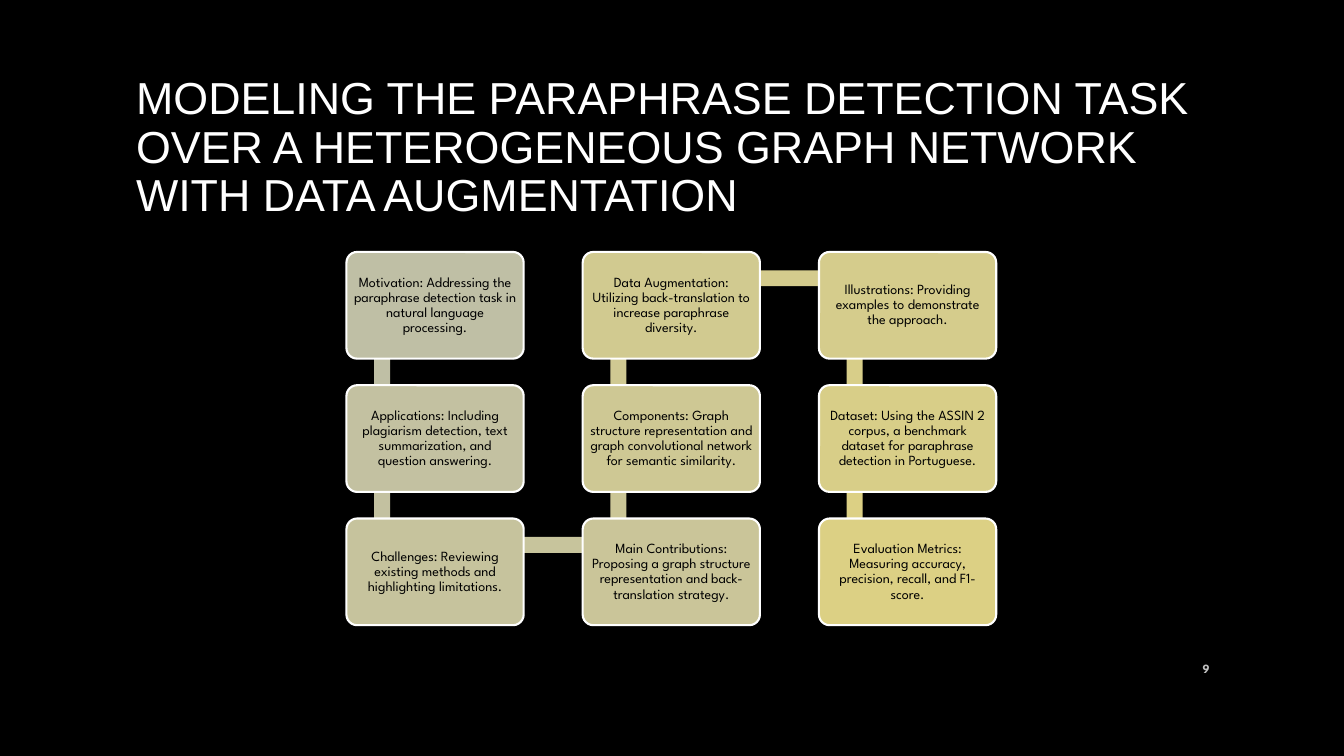
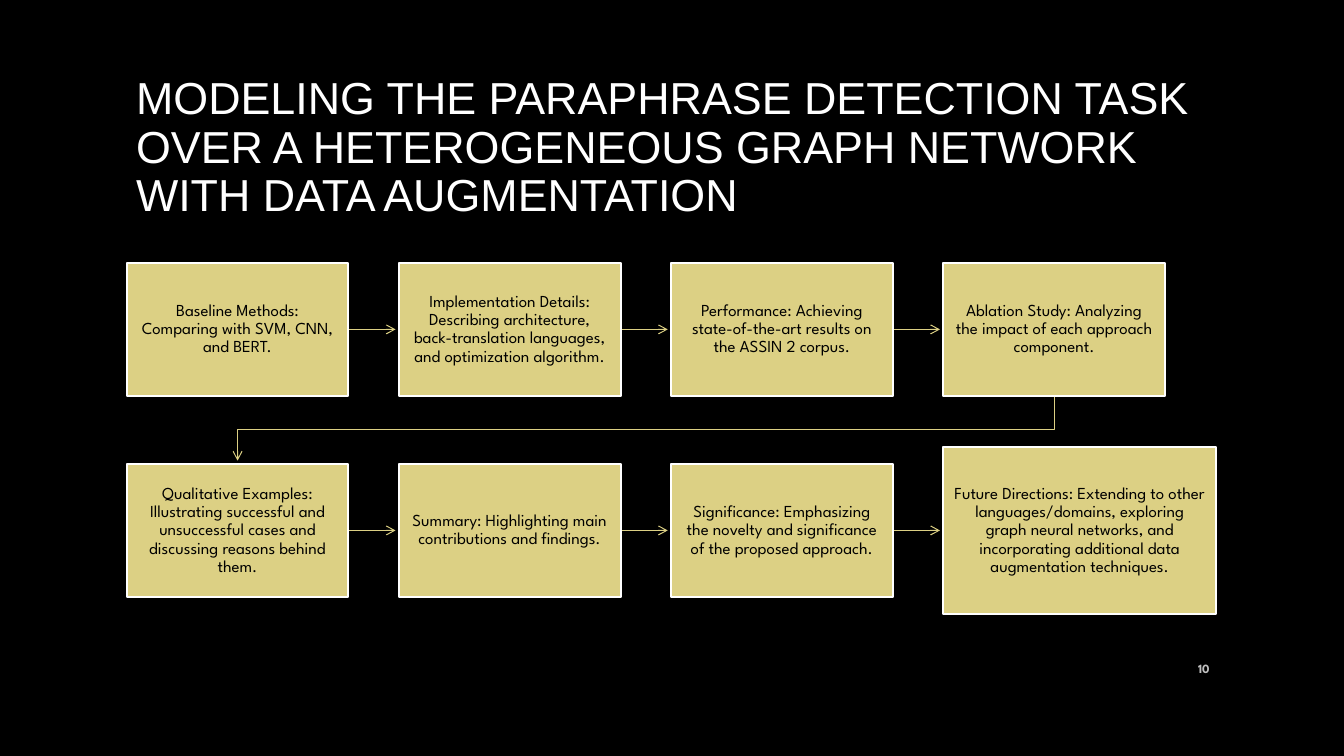
import dataclasses
import itertools

import pptx
import pptx.dml.color
import pptx.enum.shapes
import pptx.enum.text
import pptx.oxml
import pptx.oxml.ns
import pptx.util

Pt = pptx.util.Pt
Shape = pptx.enum.shapes.MSO_SHAPE
Align = pptx.enum.text.PP_ALIGN


@dataclasses.dataclass(frozen=True)
class Theme:
    background: str = "000000"
    light: str = "FFFFFF"
    ink: str = "000000"
    muted: str = "BFBFBF"
    sage: str = "BFBFA5"
    gold: str = "DCD084"
    title_font: str = "Arial"
    body_font: str = "League Spartan"
    title_size: float = 32
    step_size: float = 10
    card_size: float = 12
    number_size: float = 9
    border: float = 1.5
    arrow: float = 0.75
    line_spacing: float = 0.9


THEME = Theme()


@dataclasses.dataclass(frozen=True)
class Box:
    """A rectangle in points."""
    left: float
    top: float
    width: float
    height: float

    @property
    def right(self):
        return self.left + self.width

    @property
    def bottom(self):
        return self.top + self.height

    @property
    def center(self):
        return self.left + self.width / 2, self.top + self.height / 2

    def lengths(self):
        return [Pt(value) for value in (self.left, self.top, self.width, self.height)]


TITLE_BOX = Box(90, 48.2, 780, 116)
NUMBER_BOX = Box(828, 463, 43.2, 28.8)
SNAKE_BOX = Box(247.5, 180, 464.1, 266.6)
FLOW_BOX = Box(90.5, 187.8, 778.3, 250.8)

TITLE = ("MODELING THE PARAPHRASE DETECTION TASK OVER A HETEROGENEOUS "
         "GRAPH NETWORK WITH DATA AUGMENTATION")
STEPS = [
    "Motivation: Addressing the paraphrase detection task in natural language processing.",
    "Applications: Including plagiarism detection, text summarization, and question answering.",
    "Challenges: Reviewing existing methods and highlighting limitations.",
    "Main Contributions: Proposing a graph structure representation and back-translation strategy.",
    "Components: Graph structure representation and graph convolutional network for semantic similarity.",
    "Data Augmentation: Utilizing back-translation to increase paraphrase diversity.",
    "Illustrations: Providing examples to demonstrate the approach.",
    "Dataset: Using the ASSIN 2 corpus, a benchmark dataset for paraphrase detection in Portuguese.",
    "Evaluation Metrics: Measuring accuracy, precision, recall, and F1-score.",
]
CARDS = [
    "Baseline Methods: Comparing with SVM, CNN, and BERT.",
    "Implementation Details: Describing architecture, back-translation languages, "
    "and optimization algorithm.",
    "Performance: Achieving state-of-the-art results on the ASSIN 2 corpus.",
    "Ablation Study: Analyzing the impact of each approach component.",
    "Qualitative Examples: Illustrating successful and unsuccessful cases and "
    "discussing reasons behind them.",
    "Summary: Highlighting main contributions and findings.",
    "Significance: Emphasizing the novelty and significance of the proposed approach.",
    "Future Directions: Extending to other languages/domains, exploring graph neural "
    "networks, and incorporating additional data augmentation techniques.",
]


def color(value):
    return pptx.dml.color.RGBColor.from_string(value)


def blend(fraction):
    """Colour at a fraction of the way from sage to gold."""
    pairs = zip(color(THEME.sage), color(THEME.gold))
    return "".join(f"{round(a + (b - a) * fraction):02X}" for a, b in pairs)


def write(shape, text, font, size, ink, align, bold=False, inset=None,
          line_spacing=THEME.line_spacing):
    frame = shape.text_frame
    frame.word_wrap = True
    frame.auto_size = pptx.enum.text.MSO_AUTO_SIZE.NONE
    frame.vertical_anchor = pptx.enum.text.MSO_ANCHOR.MIDDLE
    if inset is not None:
        frame.margin_left = frame.margin_right = Pt(inset)
        frame.margin_top = frame.margin_bottom = Pt(inset)
    paragraph = frame.paragraphs[0]
    paragraph.alignment = align
    paragraph.line_spacing = line_spacing
    run = paragraph.add_run()
    run.text = text
    run.font.name = font
    run.font.size = Pt(size)
    run.font.bold = bold
    run.font.color.rgb = color(ink)


def add_block(slide, kind, box, fill):
    shape = slide.shapes.add_shape(kind, *box.lengths())
    shape.shadow.inherit = False
    shape.fill.solid()
    shape.fill.fore_color.rgb = color(fill)
    shape.line.fill.background()
    return shape


def add_card(slide, kind, box, fill, text, size, inset):
    card = add_block(slide, kind, box, fill)
    card.line.color.rgb = color(THEME.light)
    card.line.width = Pt(THEME.border)
    write(card, text, THEME.body_font, size, THEME.ink, Align.CENTER, inset=inset)
    return card


def style_arrow(shape):
    shape.line.color.rgb = color(THEME.gold)
    shape.line.width = Pt(THEME.arrow)
    head = pptx.oxml.parse_xml(f'<a:tailEnd {pptx.oxml.ns.nsdecls("a")} type="arrow"/>')
    shape.line._get_or_add_ln().append(head)


def add_arrow(slide, start, end):
    connector = slide.shapes.add_connector(
        pptx.enum.shapes.MSO_CONNECTOR.STRAIGHT, *[Pt(value) for value in start + end])
    style_arrow(connector)
    connector._element.spPr.append(
        pptx.oxml.parse_xml(f'<a:effectLst {pptx.oxml.ns.nsdecls("a")}/>'))


def add_bent_arrow(slide, points):
    start, *rest = [(Pt(x), Pt(y)) for x, y in points]
    builder = slide.shapes.build_freeform(*start)
    builder.add_line_segments(rest, close=False)
    shape = builder.convert_to_shape()
    shape.shadow.inherit = False
    shape.fill.background()
    style_arrow(shape)


def draw_snake(slide, box):
    """Steps running down, up and down three columns, joined by bars."""
    count, card_width, card_height, bar = 3, 126.6, 76.2, 11.4
    column_step = (box.width - card_width) / (count - 1)
    row_step = (box.height - card_height) / (count - 1)
    cards = []
    for index in range(len(STEPS)):
        column, row = divmod(index, count)
        if column % 2:
            row = count - 1 - row
        cards.append(Box(box.left + column * column_step, box.top + row * row_step,
                         card_width, card_height))

    joints = [(card.left + 25.5, card.top + 18.8) for card in cards]
    for index, ((x1, y1), (x2, y2)) in enumerate(itertools.pairwise(joints)):
        span = Box(min(x1, x2) - bar / 2, min(y1, y2) - bar / 2,
                   abs(x2 - x1) + bar, abs(y2 - y1) + bar)
        add_block(slide, Shape.RECTANGLE, span, blend(index / (len(cards) - 2)))

    for index, (card, text) in enumerate(zip(cards, STEPS)):
        shape = add_card(slide, Shape.ROUNDED_RECTANGLE, card,
                         blend(index / (len(cards) - 1)), text, THEME.step_size, 3)
        shape.adjustments[0] = 0.1


def draw_flow(slide, box):
    """Two rows of cards joined by arrows; the last card is larger."""
    columns, card_width, card_height, clearance = 4, 158.4, 95, 2.4
    last_width, last_height = 195, 119.4
    column_step = (box.width - last_width) / (columns - 1)
    row_step = box.height - (card_height + last_height) / 2
    cards = []
    for index in range(len(CARDS)):
        row, column = divmod(index, columns)
        cards.append(Box(box.left + column * column_step, box.top + row * row_step,
                         card_width, card_height))
    last = cards[-1]
    cards[-1] = Box(last.left, last.center[1] - last_height / 2, last_width, last_height)

    for card, following in itertools.pairwise(cards):
        x, y = card.center
        if following.left > card.left:
            add_arrow(slide, (card.right, y), (following.left - clearance, y))
        else:
            target, end = following.center[0], following.top - clearance
            bend = (card.bottom + following.top) / 2
            add_bent_arrow(slide, [(x, card.bottom), (x, bend), (target, bend), (target, end)])

    for card, text in zip(cards, CARDS):
        add_card(slide, Shape.RECTANGLE, card, THEME.gold, text, THEME.card_size, 7.8)


def prepare_layout(presentation):
    """Set the shared background and title position, and return the layout."""
    fill = presentation.slide_master.background.fill
    fill.solid()
    fill.fore_color.rgb = color(THEME.background)
    layout = presentation.slide_layouts.get_by_name("Title Only")
    title = layout.placeholders[0]
    title.left, title.top, title.width, title.height = TITLE_BOX.lengths()
    return layout


def add_slide(presentation, layout, number):
    slide = presentation.slides.add_slide(layout)
    write(slide.shapes.title, TITLE, THEME.title_font, THEME.title_size,
          THEME.light, Align.LEFT)
    number_box = slide.shapes.add_textbox(*NUMBER_BOX.lengths())
    write(number_box, str(number), THEME.body_font, THEME.number_size,
          THEME.muted, Align.RIGHT, bold=True, line_spacing=1.0)
    return slide


def main():
    presentation = pptx.Presentation()
    presentation.slide_width, presentation.slide_height = Pt(960), Pt(540)
    layout = prepare_layout(presentation)
    draw_snake(add_slide(presentation, layout, 9), SNAKE_BOX)
    draw_flow(add_slide(presentation, layout, 10), FLOW_BOX)
    presentation.save("out.pptx")


if __name__ == "__main__":
    main()
